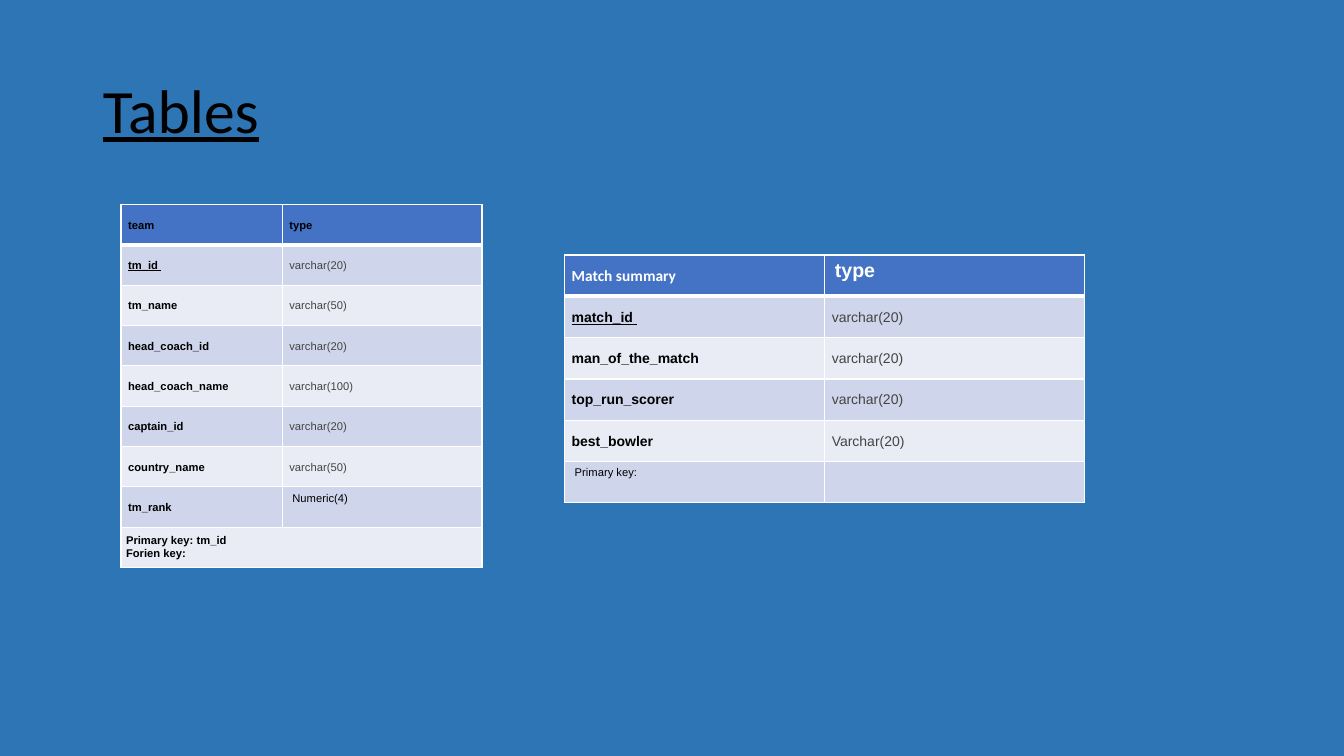
"""Build the slide that lists the columns of two database tables."""
import dataclasses

import pptx
import pptx.dml.color
import pptx.enum.text
import pptx.oxml
import pptx.oxml.ns
import pptx.util
from pptx.util import Inches

BACKGROUND = "2E75B5"
HEADER_FILL = "4472C4"
BAND_FILLS = ("CFD5EA", "E9EBF5")
BLACK, GREY, WHITE = "000000", "444444", "FFFFFF"


@dataclasses.dataclass(frozen=True)
class CellStyle:
    """Font and spacing of the text in a table cell."""
    size: float
    color: str = BLACK
    bold: bool = False
    underline: bool = False
    font: str = "Arial"
    compact: bool = True
    spaced: bool = True


def rgb(color):
    """Turn a hex string into a colour."""
    return pptx.dml.color.RGBColor.from_string(color)


def format_font(font, style):
    """Apply a cell style to a font."""
    font.name = style.font
    font.size = pptx.util.Pt(style.size)
    font.bold = style.bold
    font.underline = style.underline
    font.color.rgb = rgb(style.color)


def add_title(slide, text):
    """Place and format the slide title."""
    title = slide.shapes.title
    title.left, title.top = Inches(0.92), Inches(0.4)
    title.width, title.height = Inches(11.5), Inches(1.45)
    title.text_frame.text = text
    title.text_frame.vertical_anchor = pptx.enum.text.MSO_ANCHOR.MIDDLE
    paragraph = title.text_frame.paragraphs[0]
    paragraph.alignment = pptx.enum.text.PP_ALIGN.LEFT
    paragraph.line_spacing = 0.9
    format_font(paragraph.font, CellStyle(44, underline=True, font="Calibri"))


def set_borders(cell, top, bottom):
    """Draw white borders with the given top and bottom widths in points."""
    properties = cell._tc.get_or_add_tcPr()
    for side, width in (("L", 1), ("R", 1), ("T", top), ("B", bottom)):
        properties.append(pptx.oxml.parse_xml(
            f'<a:ln{side} {pptx.oxml.ns.nsdecls("a")} w="{pptx.util.Pt(width)}">'
            f'<a:solidFill><a:srgbClr val="{WHITE}"/></a:solidFill></a:ln{side}>'))


def write_cell(cell, text, style):
    """Write the text of one cell in a style."""
    cell.text_frame.text = text
    if style.compact:
        cell.vertical_anchor = pptx.enum.text.MSO_ANCHOR.MIDDLE
        cell.margin_left = cell.margin_right = Inches(0.05)
        cell.margin_top = cell.margin_bottom = Inches(0.02)
    for paragraph in cell.text_frame.paragraphs:
        format_font(paragraph.font, style)
        if style.compact and style.spaced:
            paragraph.line_spacing = 1.07
            paragraph.space_before = paragraph.space_after = pptx.util.Pt(1.2)
            paragraph._p.get_or_add_pPr().set("marL", str(Inches(0.02)))


def add_banded_table(slide, left, top, widths, row_height, rows):
    """Add a table with a header and banded rows of (text, style) cells."""
    frame = slide.shapes.add_table(
        len(rows), len(widths), Inches(left), Inches(top),
        Inches(sum(widths)), Inches(row_height * len(rows)))
    table = frame.table
    for column, width in zip(table.columns, widths):
        column.width = Inches(width)
    for index, row in enumerate(rows):
        table.rows[index].height = Inches(row_height)
        fill = BAND_FILLS[(index - 1) % 2] if index else HEADER_FILL
        for position, (text, style) in enumerate(row):
            cell = table.cell(index, position)
            set_borders(cell, 3 if index == 1 else 1, 1 if index else 3)
            cell.fill.solid()
            cell.fill.fore_color.rgb = rgb(fill)
            write_cell(cell, text, style)
    return table


def field_rows(fields, size):
    """Style field names and types, underlining the first name as the key."""
    return [[(name, CellStyle(size, bold=True, underline=index == 0)),
             (kind, CellStyle(size, GREY))]
            for index, (name, kind) in enumerate(fields)]


def add_team_table(slide):
    """Add the table of team columns."""
    heading = CellStyle(8, bold=True)
    note = CellStyle(8, bold=True, spaced=False)
    fields = [
        ("tm_id ", "varchar(20)"),
        ("tm_name ", "varchar(50)"),
        ("head_coach_id ", "varchar(20)"),
        ("head_coach_name ", "varchar(100)"),
        ("captain_id ", "varchar(20)"),
        ("country_name ", "varchar(50)"),
    ]
    rows = [
        [("team", heading), ("type", heading)],
        *field_rows(fields, 8),
        [("tm_rank ", heading), ("Numeric(4)", CellStyle(8, compact=False))],
        [("Primary key: tm_id\nForien key:", note), ("", note)],
    ]
    table = add_banded_table(slide, 1.2, 2.03, (1.6, 1.98), 0.4, rows)
    last = len(rows) - 1
    table.cell(last, 0).merge(table.cell(last, 1))


def add_match_table(slide):
    """Add the table of match summary columns."""
    note = CellStyle(8, compact=False)
    fields = [
        ("match_id ", "varchar(20)"),
        ("man_of_the_match ", "varchar(20)"),
        ("top_run_scorer ", "varchar(20)"),
        ("best_bowler ", "Varchar(20)"),
    ]
    rows = [
        [("Match summary", CellStyle(11, WHITE, bold=True, font="Calibri")),
         ("type", CellStyle(14, WHITE, bold=True, compact=False))],
        *field_rows(fields, 10),
        [("Primary key:", note), ("", note)],
    ]
    add_banded_table(slide, 5.6, 2.53, (2.58, 2.58), 0.41, rows)


def main():
    """Build and save the presentation."""
    presentation = pptx.Presentation()
    presentation.slide_width = Inches(13.33)
    presentation.slide_height = Inches(7.5)
    slide = presentation.slides.add_slide(presentation.slide_layouts[5])
    slide.background.fill.solid()
    slide.background.fill.fore_color.rgb = rgb(BACKGROUND)
    add_title(slide, "Tables")
    add_team_table(slide)
    add_match_table(slide)
    presentation.save("out.pptx")


if __name__ == "__main__":
    main()
